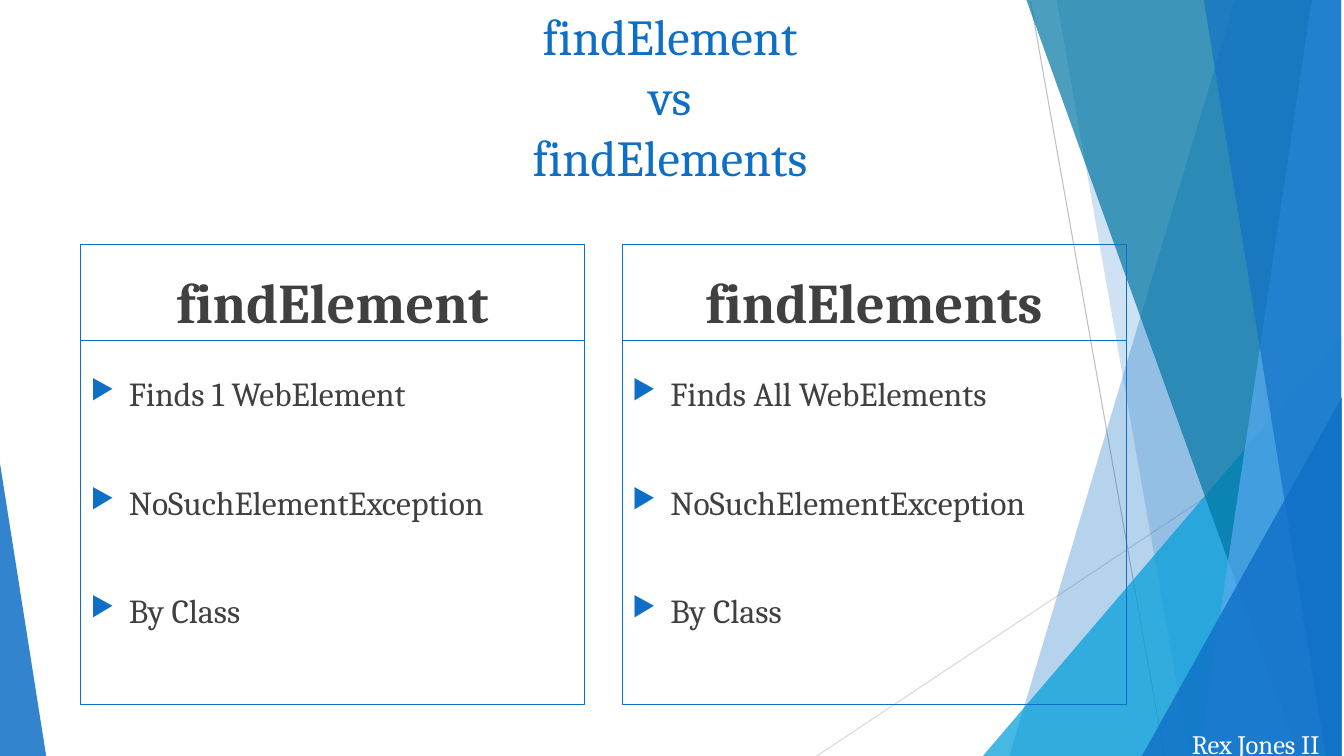
from lxml import etree
from pptx import Presentation
from pptx import util as u
from pptx.dml.color import RGBColor
from pptx.enum import shapes, text
from pptx.oxml import ns

FONT, BLUE, GREY = "Cambria", "0F6FC6", "404040"
FACETS = [
    (91.9, 99.77, 99.77, 75.09, BLUE, 30),
    (78.62, 99.85, 99.85, 88.52, BLUE, 20),
    (76.37, 99.77, 99.77, 96.62, "0076A3", 70),
    (97.6, 99.77, 99.77, 89.2, "59AAF2", 70),
    (89.57, 99.77, 99.77, 98.65, BLUE, 65),
]
PEAKS = [
    ((73.07, 44.53, 26.71, 55.6), 1, "009DD9", 72),
    ((84.92, 52.53, 14.93, 47.6), 1, BLUE, 80),
    ((-0.23, 58.67, 3.68, 41.47), 0, BLUE, 85),
]
RAYS = [(76.67, 0.1, 86.65, 100.1, "BFBFBF"), (99.77, 53.87, 60.69, 100.1, "D9D9D9")]
PANELS = [
    ("findElement", ["Finds 1 WebElement", "NoSuchElementException", "By Class"]),
    ("findElements", ["Finds All WebElements", "NoSuchElementException", "By Class"]),
]


def hue(code):
    """Turn a hex string into a colour."""
    return RGBColor.from_string(code)


def part(box, x, y, w, h):
    """Return the part of a box given by percent shares."""
    left, top, wide, high = box
    return (round(left + wide * x / 100), round(top + high * y / 100),
            round(wide * w / 100), round(high * h / 100))


def node(parent, tag, **attrs):
    """Append a drawing element to a parent."""
    return etree.SubElement(parent, ns.qn(tag), attrs)


def tint(shape, code, alpha):
    """Fill a shape with a see-through colour and no line."""
    shape.shadow.inherit = False
    shape.line.fill.background()
    shape.fill.solid()
    shape.fill.fore_color.rgb = hue(code)
    clr = shape.fill._xPr.find(".//" + ns.qn("a:srgbClr"))
    node(clr, "a:alpha", val=str(alpha * 1000))


def write(frame, words, size, code, align, bold=False):
    """Put words in a frame and format each run."""
    frame.text = words
    for para in frame.paragraphs:
        para.alignment = align
        for run in para.runs:
            run.font.name = FONT
            run.font.size = u.Pt(size)
            run.font.bold = bold
            run.font.color.rgb = hue(code)


def ray(slide, box, x1, y1, x2, y2, code):
    """Draw one thin line between two points of the box."""
    start, end = part(box, x1, y1, 0, 0), part(box, x2, y2, 0, 0)
    line = slide.shapes.add_connector(shapes.MSO_CONNECTOR.STRAIGHT, *start[:2], *end[:2])
    line.line.color.rgb = hue(code)
    line.line.width = u.Pt(0.75)
    node(line._element.spPr, "a:effectLst")


def facet(slide, box, x1, x2, x3, x4, code, alpha):
    """Draw a full-height four-sided pane, its corners given clockwise."""
    spots = [part(box, x, y, 0, 0)[:2]
             for x, y in ((x1, 0), (x2, 0), (x3, 100.1), (x4, 100.1))]
    form = slide.shapes.build_freeform(*spots[0])
    form.add_line_segments(spots[1:], close=True)
    tint(form.convert_to_shape(), code, alpha)


def peak(slide, box, share, tip, code, alpha):
    """Draw a right triangle with its tip at the given side."""
    shape = slide.shapes.add_shape(
        shapes.MSO_SHAPE.ISOSCELES_TRIANGLE, *part(box, *share))
    shape.adjustments[0] = tip
    tint(shape, code, alpha)


def decor(slide, box):
    """Draw the rays, panes and triangles behind the text."""
    for item in RAYS:
        ray(slide, box, *item)
    for item in FACETS[:2]:
        facet(slide, box, *item)
    peak(slide, box, *PEAKS[0])
    for item in FACETS[2:]:
        facet(slide, box, *item)
    for item in PEAKS[1:]:
        peak(slide, box, *item)


def frame(slide, box, anchor):
    """Add an outlined box and return its text frame."""
    shape = slide.shapes.add_shape(shapes.MSO_SHAPE.RECTANGLE, *box)
    shape.shadow.inherit = False
    shape.fill.background()
    shape.line.color.rgb = hue(BLUE)
    shape.line.width = u.Pt(0.75)
    shape.text_frame.word_wrap = True
    shape.text_frame.vertical_anchor = anchor
    return shape.text_frame


def panel(slide, box, head, items):
    """Draw a heading box above a box of bullets."""
    top = frame(slide, part(box, 0, 0, 100, 20.7), text.MSO_ANCHOR.BOTTOM)
    write(top, head, 40, GREY, text.PP_ALIGN.CENTER, True)
    body = frame(slide, part(box, 0, 20.7, 100, 79.3), text.MSO_ANCHOR.TOP)
    body.margin_top = u.Inches(0.33)
    write(body, "\n".join(items), 24, GREY, text.PP_ALIGN.LEFT)
    for i, para in enumerate(body.paragraphs):
        if i:
            para.space_before = u.Pt(48.6)
        props = para._p.get_or_add_pPr()
        props.set("marL", str(u.Inches(0.38)))
        props.set("indent", str(-u.Inches(0.38)))
        node(node(props, "a:buClr"), "a:srgbClr", val=BLUE)
        node(props, "a:buSzPct", val="80000")
        node(props, "a:buChar", char="▶")


def label(slide, box, words, size, code, wrap):
    """Add a centred line of plain text."""
    area = slide.shapes.add_textbox(*box).text_frame
    area.word_wrap = wrap
    write(area, words, size, code, text.PP_ALIGN.CENTER)


def main():
    """Build the slide and save it."""
    deck = Presentation()
    deck.slide_width, deck.slide_height = u.Inches(13.33), u.Inches(7.5)
    slide = deck.slides.add_slide(deck.slide_layouts[6])
    page = (0, 0, deck.slide_width, deck.slide_height)
    decor(slide, page)
    for i, (head, items) in enumerate(PANELS):
        panel(slide, part(page, 6 + 40.29 * i, 32.4, 37.51, 60.8), head, items)
    label(slide, part(page, 87.17, 95.6, 12.53, 5.6), "Rex Jones II", 19, "FFFFFF", False)
    label(slide, part(page, 0, 0, 99.7, 23.2), "findElement\vvs\vfindElements", 36, BLUE, True)
    deck.save("out.pptx")


if __name__ == "__main__":
    main()
